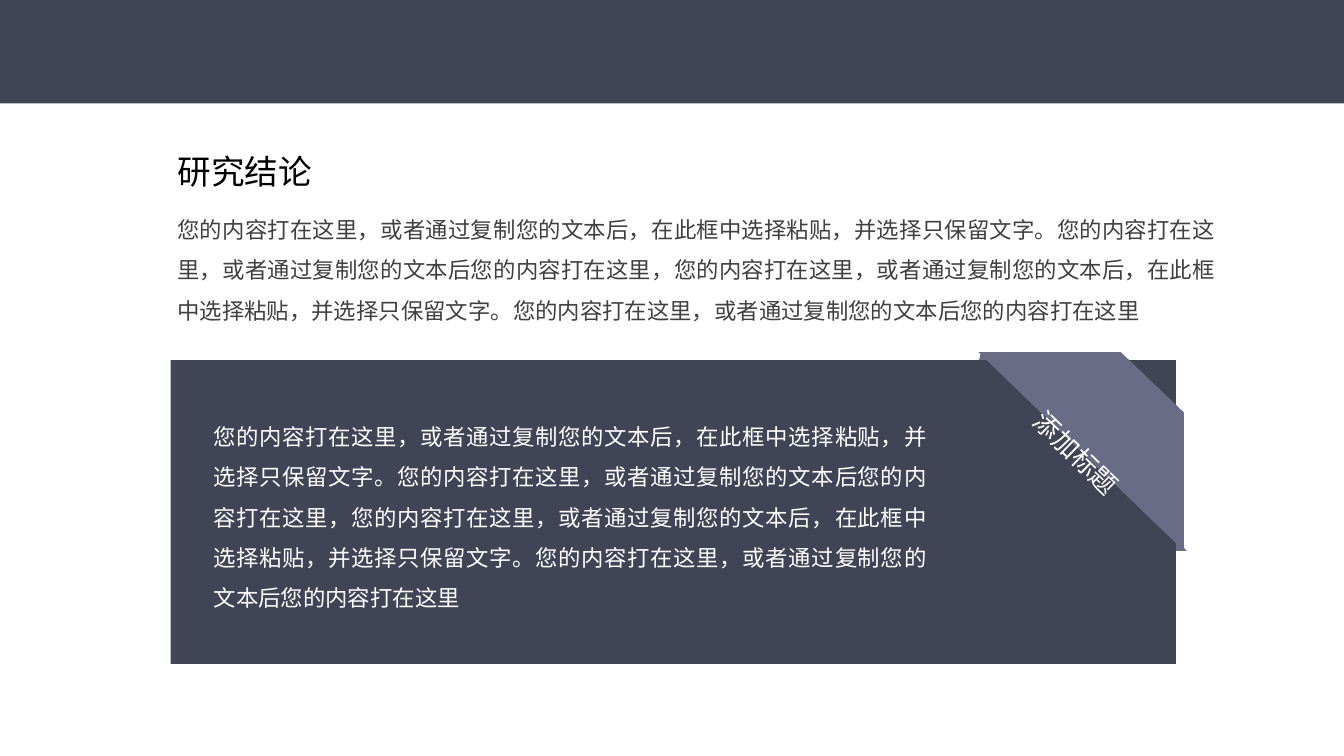
from pptx import Presentation
from pptx.dml.color import RGBColor
from pptx.enum.shapes import MSO_SHAPE
from pptx.enum.text import MSO_ANCHOR, MSO_AUTO_SIZE, PP_ALIGN
from pptx.oxml.ns import qn
from pptx.util import Inches, Pt
from lxml import etree

FONT = "Noto Sans CJK SC"
NAVY, SLATE, WHITE = "414455", "686C86", "FFFFFF"
PASTE = "您的内容打在这里，或者通过复制您的文本后，在此框中选择粘贴，并选择只保留文字。"
REPEAT = "您的内容打在这里，或者通过复制您的文本后您的内容打在这里"
BODY = f"{PASTE}{REPEAT}，{PASTE}{REPEAT}"


def rgb(value):
    return RGBColor.from_string(value)


def paint(sp, color):
    sp.shadow.inherit = False
    sp.fill.solid()
    sp.fill.fore_color.rgb = rgb(color)
    sp.line.fill.background()


def add_rect(s, x, y, w, h, color):
    sp = s.shapes.add_shape(MSO_SHAPE.RECTANGLE, Inches(x), Inches(y), Inches(w), Inches(h))
    paint(sp, color)


def add_polygon(s, x, y, points, color):
    corners = [(Inches(x + dx), Inches(y + dy)) for dx, dy in points]
    builder = s.shapes.build_freeform(*corners[0])
    builder.add_line_segments(corners[1:], close=True)
    paint(builder.convert_to_shape(), color)


def write_text(sp, text, size, color, wrap=False, align=PP_ALIGN.LEFT, spacing=1.0):
    tf = sp.text_frame
    tf.text = text
    tf.word_wrap = wrap
    tf.auto_size = MSO_AUTO_SIZE.SHAPE_TO_FIT_TEXT
    tf.vertical_anchor = MSO_ANCHOR.TOP
    tf.margin_left = tf.margin_right = tf.margin_top = tf.margin_bottom = Inches(0.05)
    p = tf.paragraphs[0]
    p.alignment = align
    p.line_spacing = spacing
    r = p.runs[0]
    r.font.size = Pt(size)
    r.font.name = FONT
    r.font.color.rgb = rgb(color)
    etree.SubElement(r.font._element, qn("a:ea"), typeface=FONT)


def add_text(s, x, y, w, h, text, size, color, **style):
    sp = s.shapes.add_textbox(Inches(x), Inches(y), Inches(w), Inches(h))
    write_text(sp, text, size, color, **style)
    return sp


def add_body(s, x, y, w, h, color):
    add_text(s, x, y, w, h, BODY, 12, color, wrap=True, align=PP_ALIGN.JUSTIFY, spacing=1.5)


def add_conclusion(s, x, y, w, h):
    title = s.shapes.title
    title.left, title.top = Inches(x), Inches(y)
    title.width, title.height = Inches(1.11), Inches(0.45)
    write_text(title, "研究结论", 18, "000000")
    add_body(s, x, y + 0.39, w, h - 0.39, "404040")


def add_ribbon(s, x, y, w, h):
    add_polygon(s, x, y, [(0, 0), (w, h), (w, 0.45), (1.06, 0)], SLATE)
    label = add_text(s, x + 0.27, y + 0.58, 0.89, 0.38, "添加标题", 14, WHITE)
    label.rotation = 44


def add_panel(s, x, y, w, h):
    ribbon_x, ribbon_y, ribbon_w, ribbon_h = x + w - 1.47, y - 0.06, 1.53, 1.48
    add_polygon(s, ribbon_x + ribbon_w - 0.1, ribbon_y + ribbon_h - 0.14,
                [(0.12, 0.14), (0, 0.14), (0, 0)], SLATE)
    add_polygon(s, ribbon_x, ribbon_y, [(0.02, 0), (0, 0.08), (0.13, 0.08)], SLATE)
    add_rect(s, x, y, w, h, NAVY)
    add_body(s, x + 0.27, y + 0.32, 5.41, 1.75, WHITE)
    add_ribbon(s, ribbon_x, ribbon_y, ribbon_w, ribbon_h)


def main():
    prs = Presentation()
    prs.slide_width = Inches(10)
    prs.slide_height = prs.slide_width * 9 // 16
    s = prs.slides.add_slide(prs.slide_layouts[5])
    add_rect(s, 0, 0, 10, 0.77, NAVY)
    add_conclusion(s, 1.27, 1.07, 7.83, 1.75)
    add_panel(s, 1.27, 2.68, 7.48, 2.26)
    prs.save("out.pptx")


if __name__ == "__main__":
    main()
